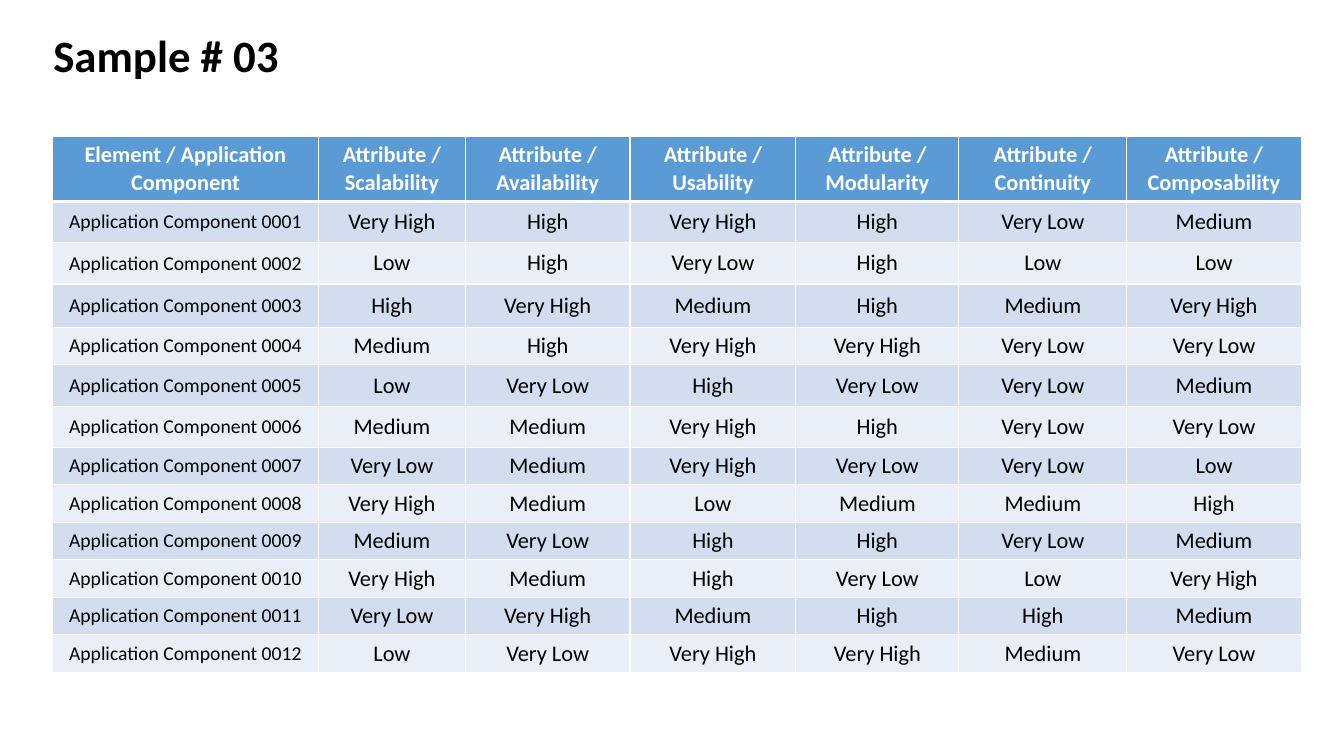
from lxml.etree import SubElement
from pptx import Presentation
from pptx.dml.color import RGBColor
from pptx.enum.text import MSO_ANCHOR, PP_ALIGN
from pptx.oxml.ns import qn
from pptx.util import Pt

# Content
TITLE = "Sample # 03"
HEADER = ["Element / Application Component"] + [
    f"Attribute / {name}" for name in
    ("Scalability", "Availability", "Usability", "Modularity", "Continuity", "Composability")]
RATINGS = [
    ("Very High", "High", "Very High", "High", "Very Low", "Medium"),
    ("Low", "High", "Very Low", "High", "Low", "Low"),
    ("High", "Very High", "Medium", "High", "Medium", "Very High"),
    ("Medium", "High", "Very High", "Very High", "Very Low", "Very Low"),
    ("Low", "Very Low", "High", "Very Low", "Very Low", "Medium"),
    ("Medium", "Medium", "Very High", "High", "Very Low", "Very Low"),
    ("Very Low", "Medium", "Very High", "Very Low", "Very Low", "Low"),
    ("Very High", "Medium", "Low", "Medium", "Medium", "High"),
    ("Medium", "Very Low", "High", "High", "Very Low", "Medium"),
    ("Very High", "Medium", "High", "Very Low", "Low", "Very High"),
    ("Very Low", "Very High", "Medium", "High", "High", "Medium"),
    ("Low", "Very Low", "Very High", "Very High", "Medium", "Very Low"),
]
ROWS = [HEADER] + [(f"Application Component {n:04}", *ratings)
                   for n, ratings in enumerate(RATINGS, 1)]

# Sizes in points, and colours
COL_WIDTHS = [190, 105, 117.5, 118.5, 116.5, 120, 124.5]
ROW_HEIGHTS = [46.2, 29.5, 29.5, 31, 26.7, 29.5, 29.5] + [26.7] * 6
FONT = "Calibri"
BLACK = RGBColor(0x00, 0x00, 0x00)
WHITE = RGBColor(0xFF, 0xFF, 0xFF)
BLUE = RGBColor(0x5B, 0x9B, 0xD5)
BANDS = (RGBColor(0xEA, 0xEF, 0xF7), RGBColor(0xD2, 0xDE, 0xEF))


def style_font(font, size, color, bold):
    font.name, font.size, font.bold = FONT, Pt(size), bold
    font.color.rgb = color


def add_borders(cell, top, bottom):
    tc_pr = cell._tc.get_or_add_tcPr()
    for side, width in (("L", 1), ("R", 1), ("T", top), ("B", bottom)):
        ln = SubElement(tc_pr, qn(f"a:ln{side}"), w=str(Pt(width)))
        fill = SubElement(ln, qn("a:solidFill"))
        SubElement(fill, qn("a:srgbClr"), val=str(WHITE))


prs = Presentation()
prs.slide_width, prs.slide_height = Pt(960), Pt(540)
s = prs.slides.add_slide(prs.slide_layouts[6])

# Ratings table
frame = s.shapes.add_table(len(ROWS), len(HEADER), Pt(37.5), Pt(97.5),
                           Pt(sum(COL_WIDTHS)), Pt(sum(ROW_HEIGHTS)))
table = frame.table
table.horz_banding = False
for column, width in zip(table.columns, COL_WIDTHS):
    column.width = Pt(width)
for i, (row, height, texts) in enumerate(zip(table.rows, ROW_HEIGHTS, ROWS)):
    row.height = Pt(height)
    header = i == 0
    for j, (cell, text) in enumerate(zip(row.cells, texts)):
        add_borders(cell, 3 if i == 1 else 1, 3 if header else 1)
        cell.fill.solid()
        cell.fill.fore_color.rgb = BLUE if header else BANDS[i % 2]
        cell.vertical_anchor = MSO_ANCHOR.MIDDLE
        p = cell.text_frame.paragraphs[0]
        p.text = text
        p.alignment = PP_ALIGN.CENTER
        style_font(p.runs[0].font, 14 if j == 0 and not header else 16,
                   WHITE if header else BLACK, header)

# Title
tf = s.shapes.add_textbox(Pt(31), Pt(16.5), Pt(441.5), Pt(46)).text_frame
tf.word_wrap = True
tf.text = TITLE
style_font(tf.paragraphs[0].runs[0].font, 32, BLACK, True)

prs.save("out.pptx")
